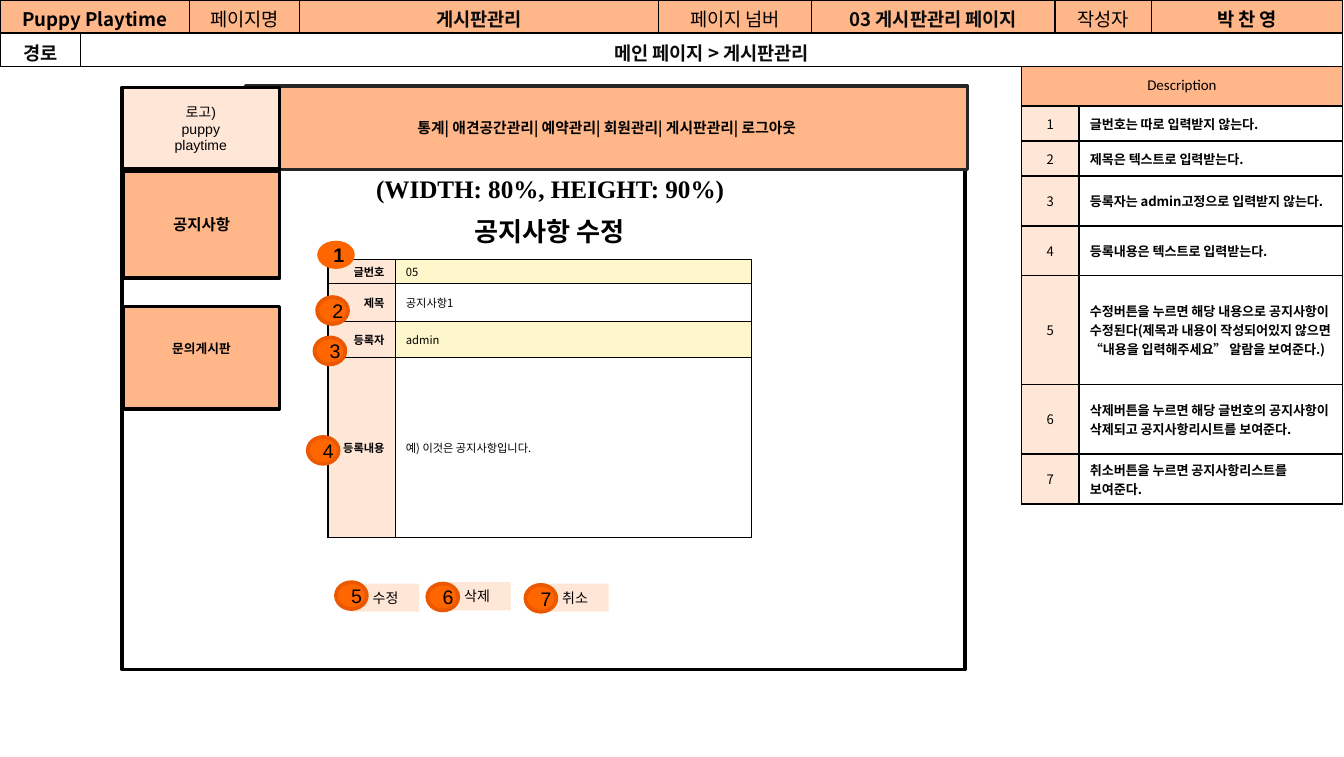
from lxml.etree import SubElement
from pptx import Presentation
from pptx.dml.color import RGBColor
from pptx.enum.shapes import MSO_SHAPE as SHAPE
from pptx.enum.text import MSO_ANCHOR as ANCHOR, PP_ALIGN as ALIGN
from pptx.oxml.ns import qn
from pptx.util import Inches, Pt

BLACK = RGBColor(0x00, 0x00, 0x00)
INK = RGBColor(0x0C, 0x0C, 0x0C)
CHARCOAL = RGBColor(0x26, 0x26, 0x26)
WHITE = RGBColor(0xFF, 0xFF, 0xFF)
PEACH = RGBColor(0xFF, 0xB6, 0x89)
PALE = RGBColor(0xFF, 0xE7, 0xD8)
CREAM = RGBColor(0xFF, 0xF7, 0xCC)
ORANGE = RGBColor(0xFF, 0x66, 0x00)
RUST = RGBColor(0xEB, 0x58, 0x00)
NOTO = "Noto Sans CJK KR"


class Wireframe:
    """Holds the slide and the style shared by its elements."""

    def __init__(self, slide):
        self.s = slide

    def set_text(self, tf, text, size, font=NOTO, bold=False, color=BLACK, align=ALIGN.CENTER):
        for i, line in enumerate(text.split("\n")):
            p = tf.paragraphs[0] if i == 0 else tf.add_paragraph()
            p.alignment = align
            p.add_run().text = line
            f = p.font
            f.name, f.size, f.bold = font, Pt(size), bold
            f.color.rgb = color

    def shape(self, kind, x, y, w, h, fill, line=None, text="", bottom=0.04, **style):
        sp = self.s.shapes.add_shape(kind, Inches(x), Inches(y), Inches(w), Inches(h))
        sp.shadow.inherit = False
        sp.fill.solid()
        sp.fill.fore_color.rgb = fill
        if line is None:
            sp.line.fill.background()
        else:
            sp.line.color.rgb = line
            sp.line.width = Pt(2)
        if text:
            tf = sp.text_frame
            tf.word_wrap = True
            tf.vertical_anchor = ANCHOR.MIDDLE
            tf.margin_left = tf.margin_right = Inches(0.08)
            tf.margin_top, tf.margin_bottom = Inches(0.04), Inches(bottom)
            self.set_text(tf, text, **style)

    def box(self, *args, **options):
        self.shape(SHAPE.RECTANGLE, *args, **options)

    def badge(self, number, x, y, w=0.23, h=0.2, line=RUST, bold=False):
        self.shape(SHAPE.OVAL, x, y, w, h, ORANGE, line, str(number),
                   size=10.5, font="Arial", bold=bold)

    def label(self, x, y, w, h, text, wrap=True, **style):
        tf = self.s.shapes.add_textbox(Inches(x), Inches(y), Inches(w), Inches(h)).text_frame
        tf.word_wrap = wrap
        self.set_text(tf, text, align=ALIGN.LEFT, **style)

    def table(self, x, y, cols, rows):
        frame = self.s.shapes.add_table(len(rows), len(cols), Inches(x), Inches(y),
                                        Inches(sum(cols)), Inches(sum(rows)))
        tbl = frame.table
        for col, w in zip(tbl.columns, cols):
            col.width = Inches(w)
        for row, h in zip(tbl.rows, rows):
            row.height = Inches(h)
        return tbl

    def cell(self, cell, text, fill, border=1.0, side=0.08, edge=0.03,
             anchor=ANCHOR.MIDDLE, **style):
        cell.margin_left = cell.margin_right = Inches(side)
        cell.margin_top = cell.margin_bottom = Inches(edge)
        cell.vertical_anchor = anchor
        if text:
            self.set_text(cell.text_frame, text, **style)
        tc_pr = cell._tc.get_or_add_tcPr()
        for tag in ("a:lnL", "a:lnR", "a:lnT", "a:lnB"):
            ln = SubElement(tc_pr, qn(tag), w=str(Pt(border)))
            solid = SubElement(ln, qn("a:solidFill"))
            SubElement(solid, qn("a:srgbClr"), val=str(BLACK))
        cell.fill.solid()
        cell.fill.fore_color.rgb = fill


def main():
    prs = Presentation()
    prs.slide_width, prs.slide_height = Inches(10), Inches(5.63)
    wf = Wireframe(prs.slides.add_slide(prs.slide_layouts[6]))

    # Description table
    notes = [
        "글번호는 따로 입력받지 않는다.",
        "제목은 텍스트로 입력받는다.",
        "등록자는 admin고정으로 입력받지 않는다.",
        "등록내용은 텍스트로 입력받는다.",
        "수정버튼을 누르면 해당 내용으로 공지사항이 수정된다(제목과 내용이 작성되어있지 "
        "않으면 “내용을 입력해주세요” 알람을 보여준다.)",
        "삭제버튼을 누르면 해당 글번호의 공지사항이 삭제되고 공지사항리시트를 보여준다.",
        "취소버튼을 누르면 공지사항리스트를 보여준다.",
    ]
    tbl = wf.table(7.6, 0.48, [0.43, 1.96], [0.31, 0.26, 0.26, 0.37, 0.37, 0.81, 0.52, 0.37])
    tbl.cell(0, 0).merge(tbl.cell(0, 1))
    wf.cell(tbl.cell(0, 0), "Description", PEACH, size=8, font="Calibri")
    wf.cell(tbl.cell(0, 1), "", PEACH)
    for n, note in enumerate(notes, 1):
        wf.cell(tbl.cell(n, 0), str(n), PALE, size=7)
        wf.cell(tbl.cell(n, 1), note, WHITE, size=7, bold=True, align=ALIGN.LEFT)

    # Page frame, side menu, navigation bar and logo
    wf.box(0.91, 1.25, 6.27, 3.73, WHITE, BLACK)
    wf.box(0.92, 2.28, 1.16, 0.76, PEACH, BLACK, "문의게시판", bottom=0.18,
           size=6.8, font="Arial", bold=True)
    wf.box(0.92, 1.27, 1.16, 0.8, PEACH, BLACK, "공지사항", size=8.3, bold=True)
    wf.box(1.83, 0.64, 5.37, 0.62, PEACH, CHARCOAL,
           "통계| 애견공간관리| 예약관리| 회원관리| 게시판관리| 로그아웃", size=7.9, bold=True)
    wf.box(0.91, 0.65, 1.17, 0.61, PALE, BLACK, "로고)\npuppy\nplaytime", size=7.5, font="Arial")
    wf.label(2.7, 1.24, 3.28, 0.54, "(WIDTH: 80%, HEIGHT: 90%)",
             size=13.5, font="Times New Roman", bold=True)

    # Notice form
    fields = [
        ("글번호", "05", CREAM),
        ("제목", "공지사항1", WHITE),
        ("등록자", "admin", CREAM),
        ("등록내용", "예) 이것은 공지사항입니다.", WHITE),
    ]
    tbl = wf.table(2.44, 1.93, [0.5, 2.65], [0.18, 0.28, 0.27, 1.34])
    for i, (name, value, fill) in enumerate(fields):
        wf.cell(tbl.cell(i, 0), name, PALE, 0.75, size=6, bold=True, align=ALIGN.RIGHT)
        wf.cell(tbl.cell(i, 1), value, fill, 0.75, size=6, align=ALIGN.LEFT)

    # Numbered badges and buttons
    wf.badge(1, 2.36, 1.79, 0.28, 0.21, line=None, bold=True)
    for n, x, y in [(2, 2.36, 2.21), (3, 2.34, 2.51), (4, 2.29, 3.25)]:
        wf.badge(n, x, y)
    buttons = [("수정", 2.62, 4.34, 4.33), ("삭제", 3.3, 4.33, 4.34), ("취소", 4.03, 4.34, 4.35)]
    for n, (name, x, y, badge_y) in enumerate(buttons, 5):
        wf.box(x, y, 0.5, 0.21, PALE, text=name, size=7.5, font="Times New Roman")
        wf.badge(n, x - 0.12, badge_y)

    # Page header table
    header = [
        (0, "Puppy Playtime", True, BLACK),
        (2, "페이지명", False, BLACK),
        (3, "게시판관리", True, INK),
        (4, "페이지 넘버", False, BLACK),
        (5, "03 게시판관리 페이지", True, INK),
        (6, "작성자", False, BLACK),
        (7, "박 찬 영", True, BLACK),
    ]
    route = [(0, "경로"), (1, "메인 페이지 > 게시판관리")]
    tbl = wf.table(0, 0, [0.6, 0.81, 0.82, 2.67, 1.14, 1.81, 0.72, 1.42], [0.24, 0.24])
    tbl.cell(0, 0).merge(tbl.cell(0, 1))
    tbl.cell(1, 1).merge(tbl.cell(1, 7))
    wf.cell(tbl.cell(0, 1), "", PEACH)
    for col in range(2, 8):
        wf.cell(tbl.cell(1, col), "", WHITE)
    for col, text, bold, color in header:
        wf.cell(tbl.cell(0, col), text, PEACH, side=0.09, edge=0.04, anchor=ANCHOR.TOP,
                size=10, bold=bold, color=color)
    for col, text in route:
        wf.cell(tbl.cell(1, col), text, WHITE, side=0.09, edge=0.04,
                size=10, bold=True, color=INK)

    # Page title
    wf.label(3.43, 1.55, 1.42, 0.34, "공지사항 수정", wrap=False,
             size=14, font="Calibri", bold=True)

    prs.save("out.pptx")


if __name__ == "__main__":
    main()
